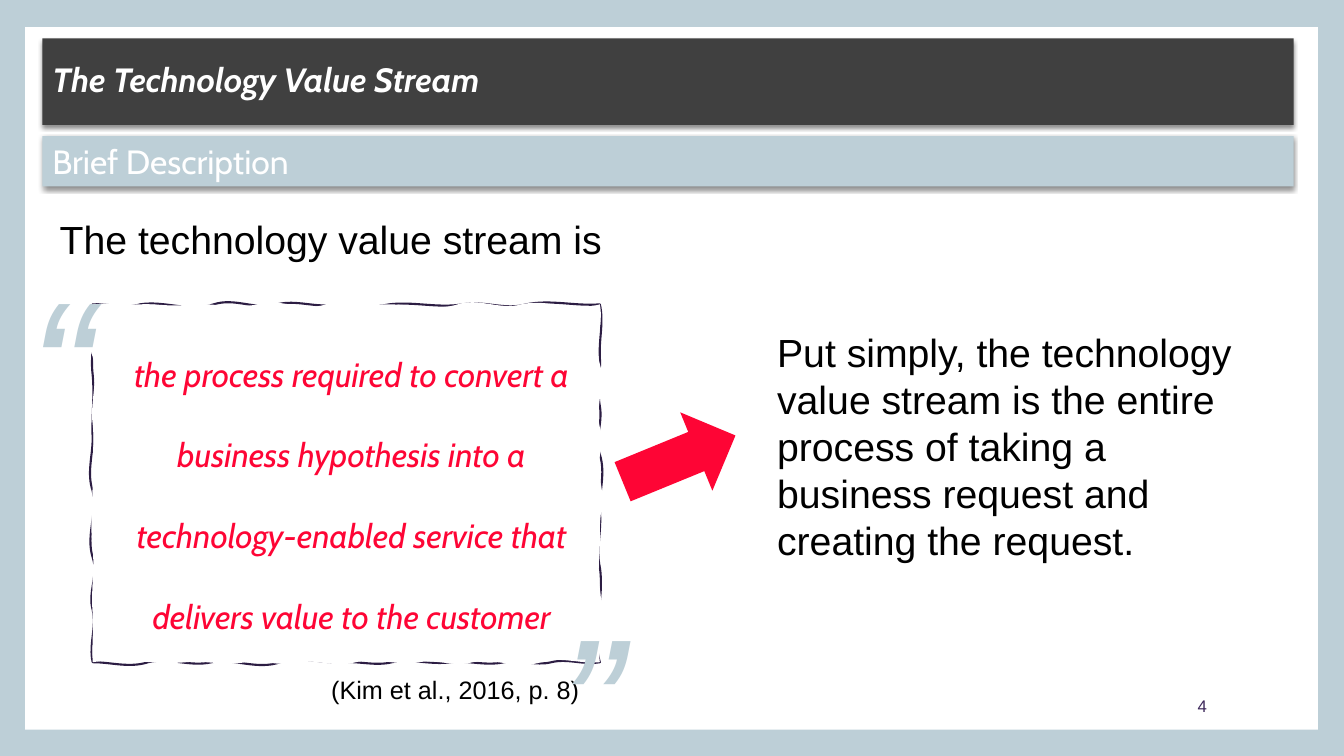
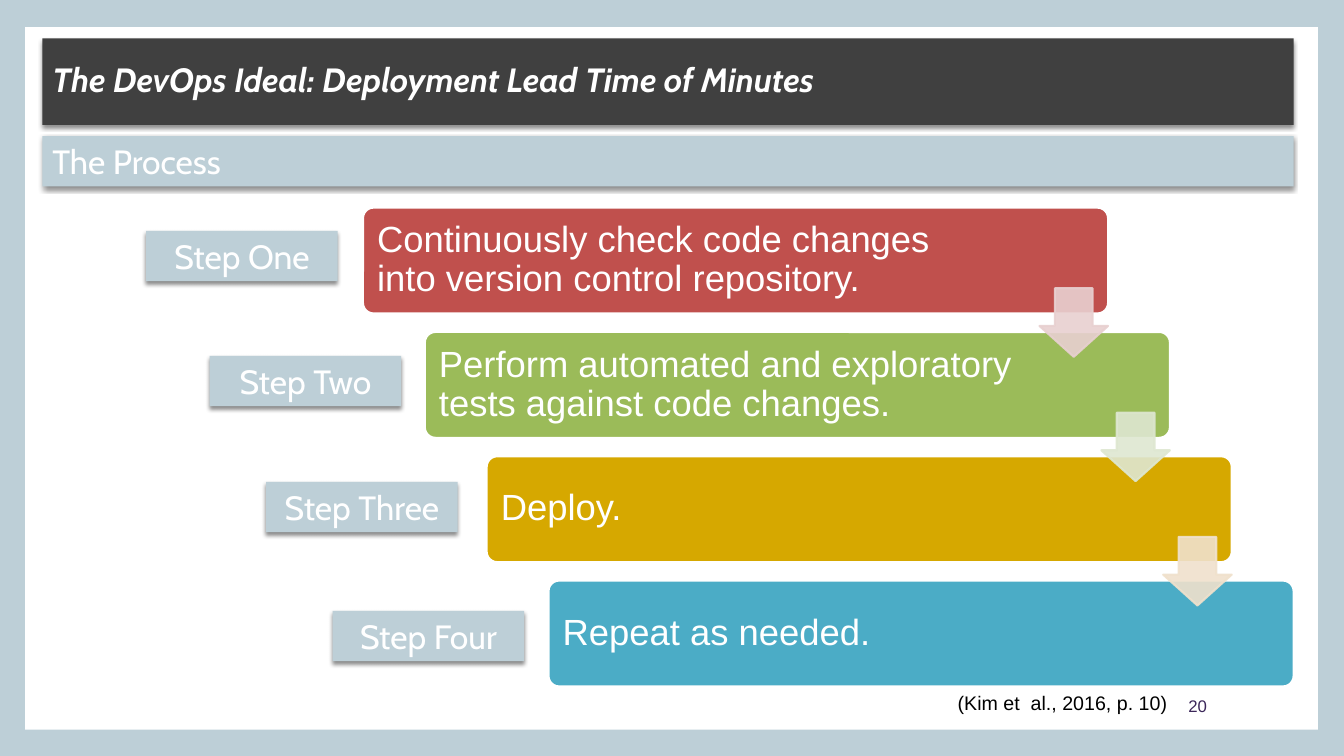
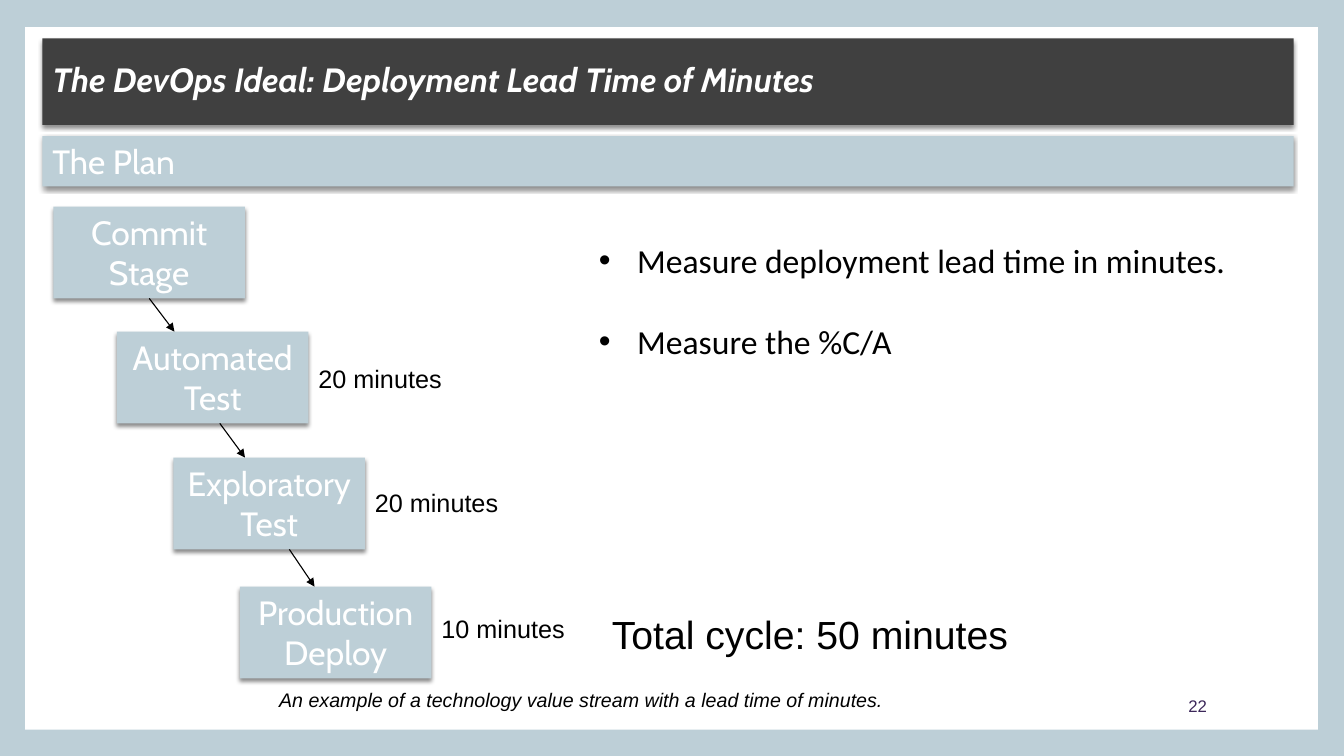
from copy import deepcopy
from lxml.etree import SubElement
from pptx import Presentation
from pptx.dml.color import RGBColor
from pptx.enum.shapes import MSO_CONNECTOR as Connector, MSO_SHAPE as Preset
from pptx.enum.text import MSO_ANCHOR as Anchor, MSO_AUTO_SIZE as AutoSize, PP_ALIGN as Align
from pptx.oxml.ns import qn
from pptx.util import Inches, Pt

MIST, CHARCOAL, WHITE, BLACK = "BDCFD7", "404040", "FFFFFF", "000000"
RED, PLUM, INK = "FE0535", "3C275A", "2C1D43"
STAIRS = [(0, 0), (0.63, 1.24), (1.19, 2.49), (1.85, 3.77)]
LABEL_WIDTH = 1.9

BORDER_WAVES = [
    [(0.47, -1, 5), (1.2, -4, 8), (1.83, -7, 6), (2.41, -5, 4),
     (2.94, -3, 4), (3.67, -3, 4), (4.3, -4, 6), (5.03, -5, 2)],
    [(0.52, 4, -1), (1.01, 1, -3), (1.49, 3, -5), (2.05, 6, -1), (2.61, 2, -4), (3.55, 5, -9)],
    [(0.48, 3, -4), (0.95, 4, -3), (1.48, 4, -2), (2.06, 3, -4), (2.54, 4, -1),
     (3.17, 2, -7), (3.85, 8, -4), (4.48, 5, -5), (5.03, 6, 0)],
    [(0.52, -4, 4), (1.04, -5, 6), (1.7, -7, 5), (2.22, -6, 0), (2.85, -1, 2), (3.55, -3, 5)],
]
PAPER_WAVES = [
    [(0.47, -2, 1), (0.95, -1, 3), (1.63, -2, 5), (2.31, -7, 8),
     (2.94, -7, 1), (3.62, 0, 7), (4.25, -7, 6), (5.03, -6, 8)],
    [(0.59, 4, -6), (1.22, 6, -5), (1.74, 6, -5), (2.23, 5, 0), (2.82, 1, -3), (3.55, 4, -3)],
    [(0.58, 2, -6), (1.26, 7, -4), (1.79, 5, -3), (2.42, 4, -5),
     (3.05, 6, -4), (3.52, 5, -4), (4.1, 4, -2), (5.03, 3, -5)],
    [(0.48, -1, 1), (1.14, -2, 2), (1.81, -3, 0), (2.36, -1, 2), (3.03, -3, 6), (3.55, -7, 2)],
]


def rgb(color):
    """Turn a hex string into a colour."""
    return RGBColor.from_string(color)


def paint(shape, fill=None, line=None, width=1.5):
    """Set fill and outline, and drop the theme shadow."""
    if fill:
        shape.fill.solid()
        shape.fill.fore_color.rgb = rgb(fill)
    else:
        shape.fill.background()
    if line:
        shape.line.color.rgb = rgb(line)
        shape.line.width = Pt(width)
    else:
        shape.line.fill.background()
    shape.shadow.inherit = False
    return shape


def cast_shadow(shape):
    """Give a painted shape a soft shadow below it."""
    effects = shape.element.spPr.find(qn("a:effectLst"))
    shadow = SubElement(effects, qn("a:outerShdw"), blurRad=str(Pt(3)), dist=str(Pt(2)),
                        dir="5400000", algn="ctr", rotWithShape="0")
    tint = SubElement(shadow, qn("a:srgbClr"), val=BLACK)
    SubElement(tint, qn("a:alpha"), val="45000")


def write(shape, text, size=18, color=BLACK, font="Arial", bold=False, italic=False,
          align=Align.LEFT, anchor=Anchor.TOP, spacing=1.0, margins=None, grow=False):
    """Fill a shape with formatted text, one paragraph a line."""
    frame = shape.text_frame
    frame.word_wrap = True
    frame.auto_size = AutoSize.SHAPE_TO_FIT_TEXT if grow else AutoSize.NONE
    frame.vertical_anchor = anchor
    if margins:
        frame.margin_left, frame.margin_right = map(Inches, margins)
    for number, line in enumerate(text.split("\n")):
        para = frame.add_paragraph() if number else frame.paragraphs[0]
        para.alignment = align
        para.line_spacing = spacing
        para.space_before = Pt(0)
        span = para.add_run()
        span.text = line
        span.font.name, span.font.size = font, Pt(size)
        span.font.bold, span.font.italic = bold, italic
        span.font.color.rgb = rgb(color)
    return shape


def add_text(page, box, text, **style):
    """Add a text box."""
    return write(page.shapes.add_textbox(*map(Inches, box)), text, **style)


def add_preset(page, preset, box, **look):
    """Add a painted preset shape."""
    return paint(page.shapes.add_shape(preset, *map(Inches, box)), **look)


def add_label(page, box, text, align=Align.CENTER):
    """Add a pale label with a shadow."""
    label = add_preset(page, Preset.RECTANGLE, box, fill=MIST)
    cast_shadow(label)
    return write(label, text, size=24, color=WHITE, font="Cabin", align=align, grow=True)


def place(shape, box):
    """Move a placeholder into a box."""
    shape.left, shape.top, shape.width, shape.height = map(Inches, box)
    return shape


def add_page(deck, layout, title, subtitle, number):
    """Add a slide with its title band, subtitle band and number."""
    page = deck.slides.add_slide(deck.slide_layouts[layout])
    band = paint(place(page.shapes.title, (0.42, 0.38, 12.41, 0.86)), fill=CHARCOAL)
    cast_shadow(band)
    write(band, title, size=24, color=WHITE, font="Cabin", bold=True, italic=True,
          anchor=Anchor.MIDDLE, spacing=0.9)
    add_label(page, (0.42, 1.35, 12.41, 0.5), subtitle, Align.LEFT)
    add_text(page, (10.2, 6.8, 1.87, 0.4), number, size=12, color=PLUM,
             align=Align.RIGHT, anchor=Anchor.MIDDLE)
    return page


def style_master(deck, page):
    """Put the background and the white panel on the master."""
    fill = deck.slide_master.background.fill
    fill.solid()
    fill.fore_color.rgb = rgb(MIST)
    panel = add_preset(page, Preset.RECTANGLE, (0.25, 0.27, 12.82, 6.97), fill=WHITE)
    deck.slide_master.shapes.element.insert(2, panel.element)


def wavy_points(box, waves):
    """List the curve points of a wavy rectangle, with wobbles in hundredths of an inch."""
    left, top, width, height = box
    corners = [(left, top), (left + width, top), (left + width, top + height), (left, top + height)]
    headings = [(1, 0), (0, 1), (-1, 0), (0, -1)]
    points = []
    for (x, y), (dx, dy), edge in zip(corners, headings, waves):
        start = 0
        for stop, first, second in edge:
            third = (stop - start) / 3
            for along, off in ((start + third, first), (stop - third, second), (stop, 0)):
                points.append((Inches(x + dx * along + abs(dy) * off / 100),
                               Inches(y + dy * along + abs(dx) * off / 100)))
            start = stop
    return points


def bend(outline):
    """Join each three line ends of a path into one curve."""
    lines = outline.findall(qn("a:lnTo"))
    for first, second, last in zip(lines[::3], lines[1::3], lines[2::3]):
        first.tag = qn("a:cubicBezTo")
        for line in (second, last):
            first.append(line[0])
            outline.remove(line)


def add_wavy(page, box, fill, line):
    """Add a sheet whose wavy edge partly covers its wavy border."""
    corner = tuple(map(Inches, box[:2]))
    builder = page.shapes.build_freeform(*corner)
    builder.add_line_segments(wavy_points(box, BORDER_WAVES), close=True)
    builder.move_to(*corner)
    builder.add_line_segments(wavy_points(box, PAPER_WAVES), close=True)
    sheet = paint(builder.convert_to_shape(), fill=fill, line=line)
    border = next(sheet.element.spPr.iter(qn("a:path")))
    paper = deepcopy(border)
    border.addnext(paper)
    half = list(border).index(border.findall(qn("a:moveTo"))[1])
    for part in border[half:]:
        border.remove(part)
    for part in paper[:half]:
        paper.remove(part)
    border.set("fill", "none")
    paper.set("stroke", "0")
    bend(border)
    bend(paper)


def add_quote(page, box, text, source):
    """Add a framed quotation with big marks and its source."""
    left, top, width, height = box
    add_text(page, (left + 0.26, top + 3.62, 6.67, 0.4), source, align=Align.CENTER)
    add_wavy(page, box, WHITE, INK)
    add_text(page, (left + 0.26, top + 0.04, 4.61, 3.22), text, size=24, color=RED,
             font="Cabin", italic=True, align=Align.CENTER, spacing=2.0)
    for mark, x, y in (("“", -0.73, -0.65), ("”", width - 0.5, height - 0.85)):
        add_text(page, (left + x, top + y, 1.44, 1.7), mark, size=138, color=MIST, italic=True)


def add_process(page, box, steps):
    """Add a staircase of bars filling a box, linked by pale arrows."""
    left, top, width, height = box
    bar_width, bar_height, arrow_size = 7.39, 1.05, 0.68
    across = (width - bar_width) / (len(steps) - 1)
    down = (height - bar_height) / (len(steps) - 1)
    for row, (text, fill, _) in enumerate(steps):
        bar = add_preset(page, Preset.ROUNDED_RECTANGLE,
                         (left + row * across, top + row * down, bar_width, bar_height),
                         fill=fill, line=WHITE)
        bar.adjustments[0] = 0.1
        write(bar, text, size=26, color=WHITE, anchor=Anchor.MIDDLE, spacing=0.9,
              margins=(0.11, 1.44))
    for row, (_, _, tint) in enumerate(steps[:-1]):
        arrow = add_preset(page, Preset.DOWN_ARROW,
                           (left + row * across + bar_width - arrow_size,
                            top + row * down + 0.8, arrow_size, arrow_size),
                           fill=tint, line=tint)
        arrow.adjustments[0], arrow.adjustments[1] = 0.55, 0.45
        for color in arrow.element.spPr.iter(qn("a:srgbClr")):
            SubElement(color, qn("a:alpha"), val="90000")


def add_stairs(page, left, top, height, names):
    """Add labels going down like stairs."""
    return [add_label(page, (left + x, top + y, LABEL_WIDTH, height), name)
            for (x, y), name in zip(STAIRS, names)]


def add_arrow(page, start, end):
    """Add a thin black arrow."""
    arrow = page.shapes.add_connector(Connector.STRAIGHT, *start, *end)
    arrow.line.color.rgb = rgb(BLACK)
    arrow.line.width = Pt(0.79)
    outline = arrow.element.spPr.find(qn("a:ln"))
    SubElement(outline, qn("a:tailEnd"), type="triangle")
    SubElement(arrow.element.spPr, qn("a:effectLst"))
    return arrow


def add_plan(page, left, top, stages):
    """Add the stages with arrows between them and their durations."""
    boxes = add_stairs(page, left, top, 0.91, [name for name, _, _ in stages])
    for box, below, shift in zip(boxes, boxes[1:], (0, 0.07, 0.2)):
        x = box.left + box.width // 2 + Inches(shift)
        arrow = add_arrow(page, (x, box.top + box.height), (x + Inches(0.25), below.top))
        if not shift:
            arrow.begin_connect(box, 2)
    for (x, y), (_, duration, drop) in zip(STAIRS, stages):
        if duration:
            add_text(page, (left + x + LABEL_WIDTH, top + y + drop, 1.6, 0.4), duration)


def add_bullets(page, box, text):
    """Fill the body placeholder with a widely spaced list."""
    body = place(page.placeholders[1], box)
    write(body, text, size=24, font="Calibri", spacing=2.0)
    for para in body.text_frame.paragraphs:
        layout = para._p.get_or_add_pPr()
        layout.set("marL", str(Inches(0.93)))
        layout.set("indent", str(Inches(-0.38)))


def build_description(deck):
    """Build the slide that defines the value stream."""
    page = add_page(deck, 5, "The Technology Value Stream", "Brief Description", "4")
    style_master(deck, page)
    arrow = add_preset(page, Preset.RIGHT_ARROW, (6.13, 4.13, 1.21, 0.84), fill=RED)
    arrow.rotation = 337.7
    add_text(page, (0, 2.09, 6.56, 0.57), "The technology value stream is", size=28,
             align=Align.CENTER)
    add_quote(page, (0.92, 3.02, 5.03, 3.55),
              "the process required to convert a business hypothesis into a "
              "technology-enabled service that delivers value to the customer",
              "(Kim et al., 2016, p. 8)")
    add_text(page, (7.61, 3.21, 4.8, 2.46),
             "Put simply, the technology value stream is the entire process of taking a "
             "business request and creating the request.", size=28)


def build_process(deck):
    """Build the slide with the four steps."""
    page = add_page(deck, 5, "The DevOps Ideal: Deployment Lead Time of Minutes",
                    "The Process", "20")
    add_process(page, (3.6, 2.06, 9.23, 4.75), [
        ("Continuously check code changes into version control repository.", "C0504D", "E8D0D0"),
        ("Perform automated and exploratory tests against code changes.", "9BBB59", "DEE7D1"),
        ("Deploy.", "D6A800", "F0E1CC"),
        ("Repeat as needed.", "4BACC6", None),
    ])
    add_stairs(page, 1.45, 2.29, 0.5, ["Step One", "Step Two", "Step Three", "Step Four"])
    add_text(page, (9.4, 6.81, 2.4, 0.34), "(Kim et  al., 2016, p. 10)", size=14)


def build_plan(deck):
    """Build the slide with the timed stages."""
    page = add_page(deck, 1, "The DevOps Ideal: Deployment Lead Time of Minutes",
                    "The Plan", "22")
    add_plan(page, 0.53, 2.05, [
        ("Commit Stage", None, 0),
        ("Automated Test", "20 minutes", 0.27),
        ("Exploratory Test", "20 minutes", 0.25),
        ("Production Deploy", "10 minutes", 0.22),
    ])
    add_text(page, (5.97, 6.01, 4.27, 0.57), "Total cycle: 50 minutes", size=28, grow=True)
    add_text(page, (2.67, 6.78, 6.51, 0.34),
             "An example of a technology value stream with a lead time of minutes.",
             size=14, italic=True, grow=True)
    add_bullets(page, (5.29, 1.93, 7.33, 1.6),
                "Measure deployment lead time in minutes.\nMeasure the %C/A")


def main():
    """Build and save the deck."""
    deck = Presentation()
    deck.slide_width, deck.slide_height = Inches(13.33), Inches(7.5)
    build_description(deck)
    build_process(deck)
    build_plan(deck)
    deck.save("out.pptx")


if __name__ == "__main__":
    main()
